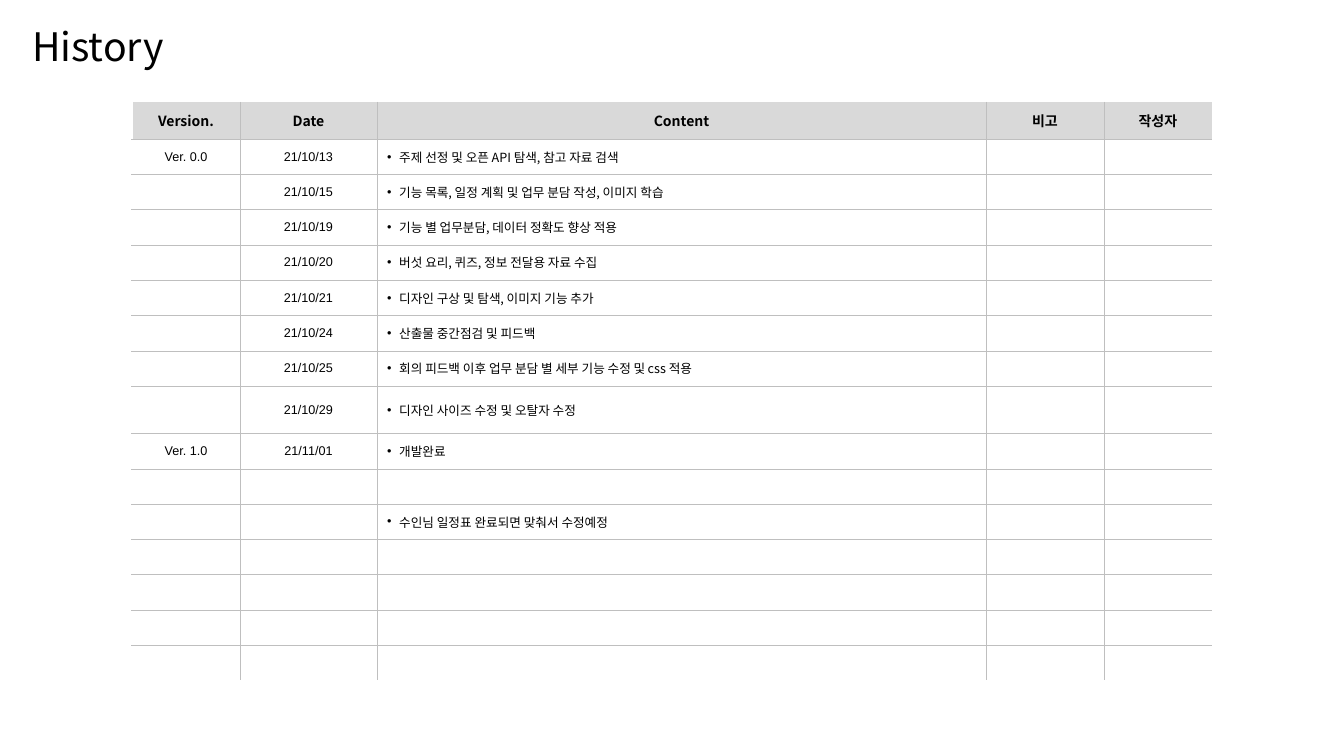
import dataclasses

import lxml.etree
import pptx
import pptx.dml.color
import pptx.enum.text
import pptx.oxml
import pptx.oxml.ns
import pptx.util

Inches, Pt = pptx.util.Inches, pptx.util.Pt
qn = pptx.oxml.ns.qn
PP_ALIGN = pptx.enum.text.PP_ALIGN
MIDDLE = pptx.enum.text.MSO_ANCHOR.MIDDLE


@dataclasses.dataclass(frozen=True)
class Theme:
    text: str = "000000"
    header_fill: str = "D9D9D9"
    grid: str = "BFBFBF"
    edge: str = "FFFFFF"
    cjk: str = "Noto Sans CJK KR"
    latin: str = "Arial"
    title_size: float = 28
    header_size: float = 10
    body_size: float = 9
    grid_width: float = 0.25
    edge_width: float = 1
    plain_table: str = "{2D5ABB26-0587-4C30-8999-92F81FD0307C}"


# Content
HEADER = ["Version.", "Date", "Content", "비고", "작성자"]
HISTORY = [
    ("Ver. 0.0", "21/10/13", "주제 선정 및 오픈 API 탐색, 참고 자료 검색"),
    ("", "21/10/15", "기능 목록, 일정 계획 및 업무 분담 작성, 이미지 학습"),
    ("", "21/10/19", "기능 별 업무분담, 데이터 정확도 향상 적용"),
    ("", "21/10/20", "버섯 요리, 퀴즈, 정보 전달용 자료 수집"),
    ("", "21/10/21", "디자인 구상 및 탐색, 이미지 기능 추가"),
    ("", "21/10/24", "산출물 중간점검 및 피드백"),
    ("", "21/10/25", "회의 피드백 이후 업무 분담 별 세부 기능 수정 및 css 적용"),
    ("", "21/10/29", "디자인 사이즈 수정 및 오탈자 수정"),
    ("Ver. 1.0", "21/11/01", "개발완료"),
    ("", "", ""),
    ("", "", "수인님 일정표 완료되면 맞춰서 수정예정"),
]
BODY_ROWS = 15
CONTENT_COL = 2
COL_WIDTHS = [1.07, 1.36, 6.04, 1.17, 1.07]
ROW_HEIGHTS = [0.37] + [0.35] * BODY_ROWS
ROW_HEIGHTS[8] = 0.47


class Deck:
    def __init__(self, prs, theme):
        self.theme = theme
        self.s = prs.slides.add_slide(prs.slide_layouts[5])

    def add_run(self, p, text, size, font, bold=False):
        r = p.add_run()
        r.text = text
        r.font.size = Pt(size)
        r.font.name = font
        r.font.bold = bold
        r.font.color.rgb = pptx.dml.color.RGBColor.from_string(self.theme.text)
        ea = lxml.etree.Element(qn("a:ea"), typeface=self.theme.cjk)
        r.font._element.find(qn("a:latin")).addnext(ea)

    def title(self, text, left, top, width, height):
        sp = self.s.shapes.title
        sp.left, sp.top = Inches(left), Inches(top)
        sp.width, sp.height = Inches(width), Inches(height)
        tf = sp.text_frame
        tf.word_wrap = True
        tf.vertical_anchor = MIDDLE
        p = tf.paragraphs[0]
        p.alignment = PP_ALIGN.LEFT
        p.line_spacing = 0.9
        self.add_run(p, text, self.theme.title_size, self.theme.cjk)

    def bullet(self, p):
        pPr = p._p.get_or_add_pPr()
        pPr.set("marL", str(Inches(0.12)))
        pPr.set("indent", str(-Inches(0.12)))
        lxml.etree.SubElement(pPr, qn("a:buFont"), typeface=self.theme.latin)
        lxml.etree.SubElement(pPr, qn("a:buChar"), char="•")

    def borders(self, cell, sides):
        tcPr = cell._tc.get_or_add_tcPr()
        for side, line in sides.items():
            color, width = line or (None, 0)
            ln = lxml.etree.SubElement(tcPr, qn(f"a:ln{side}"), w=str(Pt(width)))
            if color:
                fill = lxml.etree.SubElement(ln, qn("a:solidFill"))
                lxml.etree.SubElement(fill, qn("a:srgbClr"), val=color)
            else:
                lxml.etree.SubElement(ln, qn("a:noFill"))

    def cell(self, cell, text, header, content):
        t = self.theme
        cell.vertical_anchor = MIDDLE
        p = cell.text_frame.paragraphs[0]
        if header or not content:
            p.alignment = PP_ALIGN.CENTER
        elif text:
            self.bullet(p)
        size = t.header_size if header else t.body_size
        if text:
            font = t.cjk if header or content else t.latin
            self.add_run(p, text, size, font, header)
        else:
            # Keeps an empty cell from growing to the default text size
            lxml.etree.SubElement(p._p, qn("a:endParaRPr"), sz=str(size * 100))
        if header:
            cell.fill.solid()
            cell.fill.fore_color.rgb = pptx.dml.color.RGBColor.from_string(t.header_fill)
        else:
            cell.fill.background()

    def table(self, rows, left, top, col_widths, row_heights):
        t = self.theme
        grid, edge = (t.grid, t.grid_width), (t.edge, t.edge_width)
        frame = self.s.shapes.add_table(
            len(row_heights), len(col_widths), Inches(left), Inches(top),
            Inches(sum(col_widths)), Inches(sum(row_heights)))
        table = frame.table
        table.first_row = table.horz_banding = False
        table._tbl.tblPr.find(qn("a:tableStyleId")).text = t.plain_table
        for column, width in zip(table.columns, col_widths):
            column.width = Inches(width)
        for row, height in zip(table.rows, row_heights):
            row.height = Inches(height)
        last_row, last_col = len(row_heights) - 1, len(col_widths) - 1
        for i in range(last_row + 1):
            texts = rows[i] if i < len(rows) else ()
            for j in range(last_col + 1):
                cell = table.cell(i, j)
                self.borders(cell, {
                    "L": grid if j else edge,
                    "R": grid if j < last_col else None,
                    "T": grid if i else None,
                    "B": grid if i < last_row else edge,
                })
                text = texts[j] if j < len(texts) else ""
                self.cell(cell, text, i == 0, j == CONTENT_COL)


def main():
    prs = pptx.Presentation()
    prs.slide_width, prs.slide_height = Inches(13.33), Inches(7.5)
    deck = Deck(prs, Theme())

    # Title
    deck.title("History", 0.22, 0.17, 12.49, 0.63)

    # Version history
    deck.table([HEADER] + HISTORY, 1.31, 1.01, COL_WIDTHS, ROW_HEIGHTS)

    prs.save("out.pptx")


if __name__ == "__main__":
    main()
